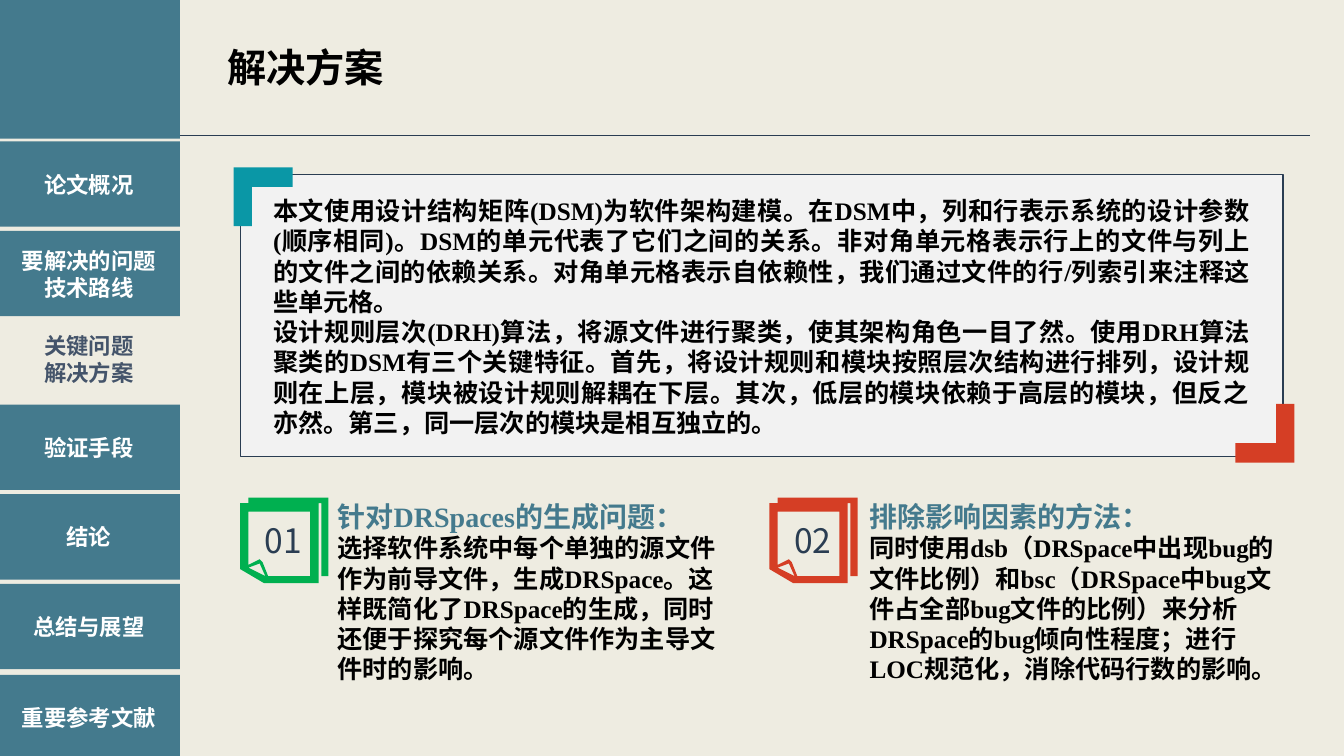
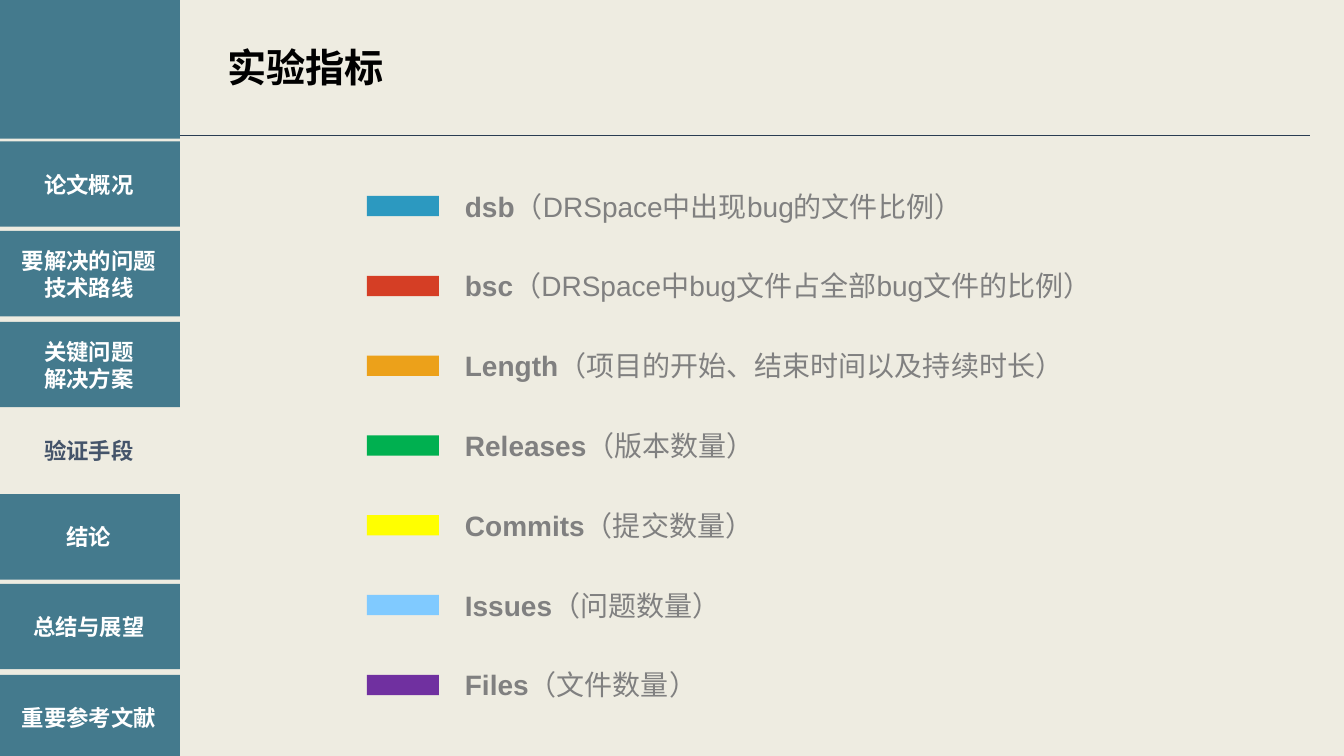
from lxml.etree import SubElement
from pptx import Presentation
from pptx.dml.color import RGBColor
from pptx.enum.shapes import MSO_CONNECTOR, MSO_SHAPE
from pptx.enum.text import MSO_ANCHOR, MSO_AUTO_SIZE, PP_ALIGN as AL
from pptx.oxml.ns import qn
from pptx.util import Pt

C = {
    "paper": "EEECE1", "teal": "447A8D", "navy": "2A3D52", "slate": "44546A",
    "white": "FFFFFF", "black": "000000", "gray": "808080", "panel": "F2F2F2",
    "cyan": "0A97A6", "red": "D53E25", "green": "00B050", "blue": "2C99C0",
    "orange": "ECA11A", "yellow": "FFFF00", "sky": "80CAFF", "purple": "7030A0",
}
SANS, SERIF, ARIAL = "Noto Sans CJK SC", "Times New Roman", "Arial"

# Sidebar tabs: lines, top, top when active
TABS = [
    (["论文概况"], 101, 101),
    (["要解决的问题", "技术路线"], 165, 165),
    (["关键问题", "解决方案"], 230, 226),
    (["验证手段"], 289, 291),
    (["结论"], 353, 353),
    (["总结与展望"], 417, 417),
    (["重要参考文献"], 482, 482),
]

# Outlines in points, relative to the shape's own corner
BRACKET = [[(0, 0), (42, 0), (42, 13.5), (13, 13.5), (13, 42), (0, 42)]]
PAGE_ICON = [
    [(6.5, 0), (63, 0), (63, 56), (57.5, 56), (57.5, 3.5), (6.5, 3.5)],
    [(0, 4.5), (56.5, 4.5), (56.5, 61), (17, 61), (0, 51)],
    [(6, 47.5), (14.5, 44.5), (16.5, 45.5), (20, 56), (50.5, 56), (50.5, 9.5), (6, 9.5)],
    [(17.5, 55.5), (14.5, 47), (6.5, 49.5)],
]

PANEL_TEXT = [
    "本文使用设计结构矩阵(DSM)为软件架构建模。在DSM中，列和行表示系统的设计参数(顺序相同)。"
    "DSM的单元代表了它们之间的关系。非对角单元格表示行上的文件与列上的文件之间的依赖关系。"
    "对角单元格表示自依赖性，我们通过文件的行/列索引来注释这些单元格。",
    "设计规则层次(DRH)算法，将源文件进行聚类，使其架构角色一目了然。"
    "使用DRH算法聚类的DSM有三个关键特征。首先，将设计规则和模块按照层次结构进行排列，"
    "设计规则在上层，模块被设计规则解耦在下层。其次，低层的模块依赖于高层的模块，但反之亦然。"
    "第三，同一层次的模块是相互独立的。",
]

# Icon left, text left, text width, colour, number, heading, body
SOLUTIONS = [
    (171.5, 234, 292, "green", "01", "针对DRSpaces的生成问题：",
     "选择软件系统中每个单独的源文件作为前导文件，生成DRSpace。"
     "这样既简化了DRSpace的生成，同时还便于探究每个源文件作为主导文件时的影响。"),
    (549.5, 614, 306, "red", "02", "排除影响因素的方法：",
     "同时使用dsb（DRSpace中出现bug的文件比例）和bsc（DRSpace中bug文件占全部bug文件的比例）"
     "来分析DRSpace的bug倾向性程度；进行LOC规范化，消除代码行数的影响。"),
]

METRICS = [
    ("blue", "dsb", "（DRSpace中出现bug的文件比例）"),
    ("red", "bsc", "（DRSpace中bug文件占全部bug文件的比例）"),
    ("orange", "Length", "（项目的开始、结束时间以及持续时长）"),
    ("green", "Releases", "（版本数量）"),
    ("yellow", "Commits", "（提交数量）"),
    ("sky", "Issues", "（问题数量）"),
    ("purple", "Files", "（文件数量）"),
]


def rgb(name):
    return RGBColor.from_string(C[name])


def style(p, size, color, font=SANS, bold=None, align=AL.LEFT):
    """Format a whole paragraph."""
    p.alignment = align
    p.line_spacing = Pt(1.2 * size)
    p.space_before = Pt(0)
    f = p.font
    f.size, f.name, f.bold = Pt(size), font, bold
    f.color.rgb = rgb(color)
    props = p._p.get_or_add_pPr().find(qn("a:defRPr"))
    SubElement(props, qn("a:ea")).set("typeface", SANS)


def write(tf, lines, *args, **kwargs):
    """Fill a text frame with equally styled paragraphs."""
    tf.text = "\n".join(lines)
    for p in tf.paragraphs:
        style(p, *args, **kwargs)


def paint(sp, fill, line=None):
    sp.shadow.inherit = False
    sp.fill.solid()
    sp.fill.fore_color.rgb = rgb(fill)
    if line:
        sp.line.color.rgb = rgb(line)
        sp.line.width = Pt(0.75)
    else:
        sp.line.fill.background()


def add_rect(shapes, x, y, w, h, fill, line=None):
    sp = shapes.add_shape(MSO_SHAPE.RECTANGLE, Pt(x), Pt(y), Pt(w), Pt(h))
    paint(sp, fill, line)
    return sp


def add_text(shapes, x, y, w, h):
    tf = shapes.add_textbox(Pt(x), Pt(y), Pt(w), Pt(h)).text_frame
    tf.word_wrap = True
    tf.auto_size = MSO_AUTO_SIZE.SHAPE_TO_FIT_TEXT
    return tf


def add_outline(shapes, x, y, contours, fill, sign=1):
    """Draw closed contours; sign -1 turns them half round the corner."""
    first, *others = [[(sign * a, sign * b) for a, b in c] for c in contours]
    fb = shapes.build_freeform(*first[0], scale=Pt(1))
    fb.add_line_segments(first[1:])
    for contour in others:
        fb.move_to(*contour[0])
        fb.add_line_segments(contour[1:])
    paint(fb.convert_to_shape(Pt(x), Pt(y)), fill)


def add_rule(shapes, x1, x2, y):
    line = shapes.add_connector(MSO_CONNECTOR.STRAIGHT, Pt(x1), Pt(y), Pt(x2), Pt(y))
    line.line.color.rgb = rgb("navy")
    line.line.width = Pt(1)
    SubElement(line._element.spPr, qn("a:effectLst"))


def add_sidebar(shapes, active):
    x, w = -1.5, 130
    add_rect(shapes, x, -2, w, 101, "teal")
    for i, (lines, top, active_top) in enumerate(TABS):
        on = i == active
        sp = add_rect(shapes, x, active_top if on else top, w, 61, "paper" if on else "teal")
        sp.text_frame.vertical_anchor = MSO_ANCHOR.MIDDLE
        write(sp.text_frame, lines, 16, "slate" if on else "white", bold=True, align=AL.CENTER)


def new_slide(prs, title, active):
    """Slide with title, rule and sidebar."""
    s = prs.slides.add_slide(prs.slide_layouts[5])
    sp = s.shapes.title
    sp.left, sp.top, sp.width, sp.height = Pt(155), Pt(27.5), Pt(325), Pt(41)
    tf = sp.text_frame
    tf.auto_size = MSO_AUTO_SIZE.NONE
    tf.vertical_anchor = MSO_ANCHOR.MIDDLE
    write(tf, [title], 28, "black", bold=True)
    add_rule(s.shapes, 97, 936, 97)
    add_sidebar(s.shapes, active)
    return s.shapes


def add_solution(shapes, icon_x, text_x, text_w, color, number, heading, body):
    add_outline(shapes, icon_x, 355.5, PAGE_ICON, color)
    write(add_text(shapes, icon_x - 34.5, 368, 131, 36), [number], 24, "navy", align=AL.CENTER)
    tf = add_text(shapes, text_x, 353, text_w, 140)
    tf.text = heading
    style(tf.paragraphs[0], 20, "teal", SERIF, True)
    p = tf.add_paragraph()
    p.text = body
    style(p, 18, "black", SERIF, True)


def add_metric(shapes, y, color, name, meaning):
    """Colour swatch with its name and meaning, grouped."""
    group = shapes.add_group_shape().shapes
    add_rect(group, 262, y + 8.5, 51.5, 14.5, color)
    p = add_text(group, 325, y, 469, 31.5).paragraphs[0]
    style(p, 20, "gray", ARIAL)
    for text, bold in ((name, True), (meaning, False)):
        r = p.add_run()
        r.text, r.font.bold = text, bold


def main():
    prs = Presentation()
    prs.slide_width, prs.slide_height = Pt(960), Pt(540)
    fill = prs.slide_master.background.fill
    fill.solid()
    fill.fore_color.rgb = rgb("paper")

    # Solutions
    shapes = new_slide(prs, "解决方案", 2)
    add_rect(shapes, 171.5, 124.5, 745, 201.5, "panel", "navy")
    write(add_text(shapes, 188, 136, 712, 181), PANEL_TEXT, 18, "black", SERIF, True, AL.JUSTIFY)
    add_outline(shapes, 167, 119.5, BRACKET, "cyan")
    add_outline(shapes, 924.5, 330.5, BRACKET, "red", sign=-1)
    for solution in SOLUTIONS:
        add_solution(shapes, *solution)

    # Metrics
    shapes = new_slide(prs, "实验指标", 3)
    for i, metric in enumerate(METRICS):
        add_metric(shapes, 131.5 + 57 * i, *metric)

    prs.save("out.pptx")


if __name__ == "__main__":
    main()
